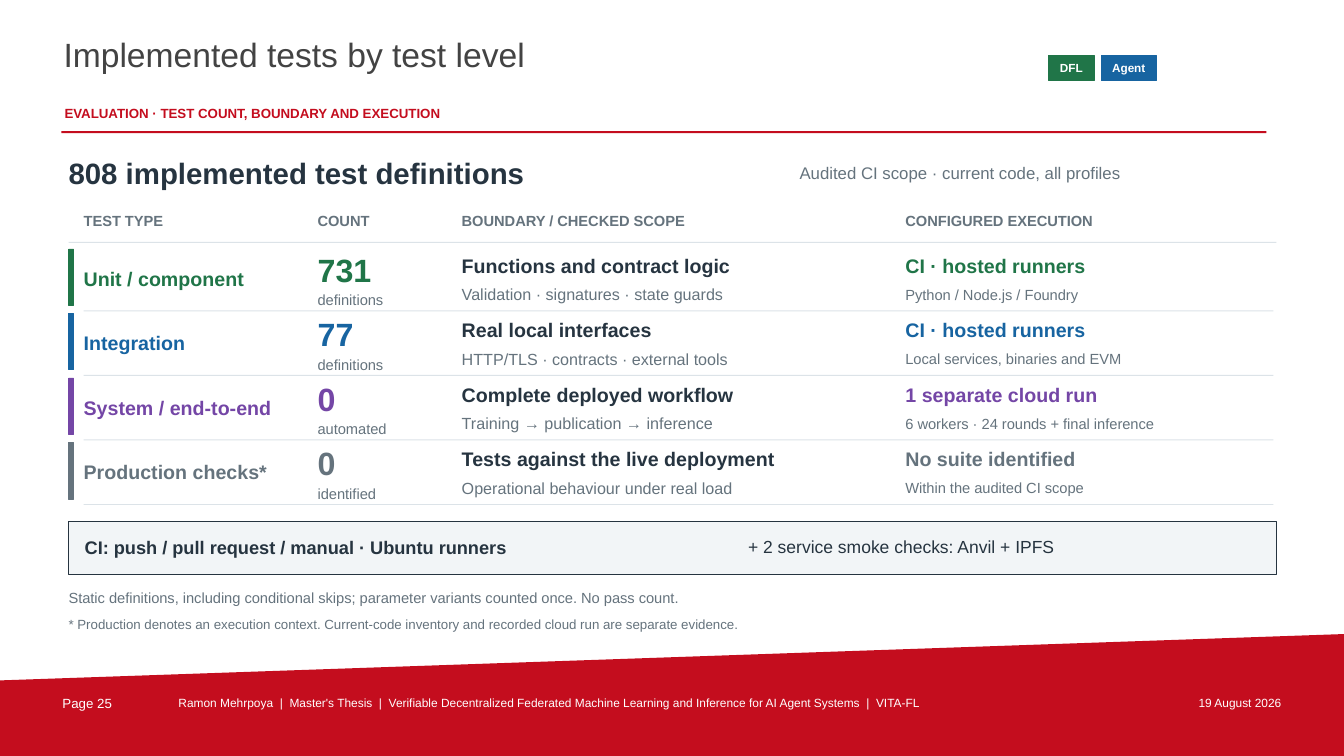
from dataclasses import dataclass

from pptx import Presentation
from pptx.dml.color import RGBColor
from pptx.enum.shapes import MSO_SHAPE as Preset
from pptx.enum.text import MSO_ANCHOR as Anchor, MSO_AUTO_SIZE as AutoSize, PP_ALIGN as Align
from pptx.shapes.autoshape import Shape
from pptx.slide import Slide
from pptx.text.text import TextFrame
from pptx.util import Emu, Pt

PX = 9144  # EMU per px, 100 px to the inch
WIDTH, HEIGHT = 1333, 750
FONT = "Arial"
COLORS = {
    "white": "FFFFFF",
    "red": "C40D1E",
    "title": "434343",
    "ink": "263440",
    "gray": "65737D",
    "green": "207548",
    "blue": "1764A1",
    "purple": "7446A6",
    "rule": "DCE3E8",
    "panel": "F2F5F7",
}


@dataclass(frozen=True)
class Label:
    text: str
    left: int
    top: int
    width: int
    height: int
    size: float
    color: str = "gray"
    bold: bool = False
    align: Align = Align.LEFT
    anchor: Anchor = Anchor.MIDDLE
    inset: int = 0


@dataclass(frozen=True)
class Badge:
    text: str
    left: int
    width: int
    color: str


@dataclass(frozen=True)
class TestLevel:
    name: str
    color: str
    count: str
    unit: str
    boundary: str
    scope: str
    execution: str
    details: str


@dataclass(frozen=True)
class Column:
    heading: str
    left: int
    width: int


TYPE = Column("TEST TYPE", 83, 227)
COUNT = Column("COUNT", 315, 122)
BOUNDARY = Column("BOUNDARY / CHECKED SCOPE", 458, 417)
EXECUTION = Column("CONFIGURED EXECUTION", 898, 352)
ROW_TOP, ROW_STEP = 247, 64

BADGES = [Badge("DFL", 1040, 45, "green"), Badge("Agent", 1092, 55, "blue")]

LEVELS = [
    TestLevel("Unit / component", "green", "731", "definitions",
              "Functions and contract logic", "Validation · signatures · state guards",
              "CI · hosted runners", "Python / Node.js / Foundry"),
    TestLevel("Integration", "blue", "77", "definitions",
              "Real local interfaces", "HTTP/TLS · contracts · external tools",
              "CI · hosted runners", "Local services, binaries and EVM"),
    TestLevel("System / end-to-end", "purple", "0", "automated",
              "Complete deployed workflow", "Training → publication → inference",
              "1 separate cloud run", "6 workers · 24 rounds + final inference"),
    TestLevel("Production checks*", "gray", "0", "identified",
              "Tests against the live deployment", "Operational behaviour under real load",
              "No suite identified", "Within the audited CI scope"),
]

FRAME_LABELS = [
    Label("Implemented tests by test level", 61, 32, 965, 62, 24, "title",
          anchor=Anchor.TOP, inset=2),
    Label("EVALUATION · TEST COUNT, BOUNDARY AND EXECUTION", 62, 102, 970, 22, 9.5, "red",
          bold=True, anchor=Anchor.TOP, inset=2),
    Label("Page 25", 60, 688, 100, 22, 9.5, "white", anchor=Anchor.TOP, inset=2),
    Label("Ramon Mehrpoya  |  Master's Thesis  |  Verifiable Decentralized Federated Machine "
          "Learning and Inference for AI Agent Systems  |  VITA-FL",
          175, 688, 935, 22, 8.5, "white", anchor=Anchor.TOP, inset=2),
    Label("19 August 2026", 1120, 688, 153, 22, 8.5, "white",
          align=Align.RIGHT, anchor=Anchor.TOP, inset=2),
]

SUMMARY_LABELS = [
    Label("808 implemented test definitions", 68, 151, 720, 40, 21, "ink", bold=True),
    Label("Audited CI scope · current code, all profiles", 793, 154, 472, 34, 12),
]

NOTE_LABELS = [
    Label("CI: push / pull request / manual · Ubuntu runners", 84, 521, 640, 43, 13, "ink",
          bold=True),
    Label("+ 2 service smoke checks: Anvil + IPFS", 742, 521, 504, 43, 12.5, "ink"),
    Label("Static definitions, including conditional skips; parameter variants counted once. "
          "No pass count.", 68, 581, 1198, 23, 10.5),
    Label("* Production denotes an execution context. Current-code inventory and recorded "
          "cloud run are separate evidence.", 68, 608, 1198, 23, 9.5),
]


def rgb(name: str) -> RGBColor:
    return RGBColor.from_string(COLORS[name])


def px(*lengths: int) -> list[Emu]:
    return [Emu(length * PX) for length in lengths]


def paint(shape: Shape, fill: str, line: str | None = None) -> None:
    shape.shadow.inherit = False
    shape.fill.solid()
    shape.fill.fore_color.rgb = rgb(fill)
    if line:
        shape.line.color.rgb = rgb(line)
        shape.line.width = Pt(0.5)
    else:
        shape.line.fill.background()


def add_box(slide: Slide, left: int, top: int, width: int, height: int,
            fill: str, line: str | None = None) -> Shape:
    shape = slide.shapes.add_shape(Preset.RECTANGLE, *px(left, top, width, height))
    paint(shape, fill, line)
    return shape


def write(frame: TextFrame, text: str, size: float, color: str, bold: bool,
          align: Align, anchor: Anchor, inset: int) -> None:
    frame.word_wrap = True
    frame.vertical_anchor = anchor
    frame.margin_left = frame.margin_top = frame.margin_right = frame.margin_bottom = Emu(inset * PX)
    frame.text = text
    paragraph = frame.paragraphs[0]
    paragraph.alignment = align
    paragraph.font.name = FONT
    paragraph.font.size = Pt(size)
    paragraph.font.bold = bold
    paragraph.font.color.rgb = rgb(color)


def add_label(slide: Slide, label: Label) -> None:
    frame = slide.shapes.add_textbox(
        *px(label.left, label.top, label.width, label.height)).text_frame
    write(frame, label.text, label.size, label.color, label.bold,
          label.align, label.anchor, label.inset)
    frame.auto_size = AutoSize.SHAPE_TO_FIT_TEXT


def add_badge(slide: Slide, badge: Badge) -> None:
    shape = add_box(slide, badge.left, 55, badge.width, 25, badge.color, badge.color)
    write(shape.text_frame, badge.text, 8.4, "white", True, Align.CENTER, Anchor.MIDDLE, 0)


def add_footer_band(slide: Slide) -> None:
    builder = slide.shapes.build_freeform(0, 675, scale=float(PX))
    builder.add_line_segments([(WIDTH, 629), (WIDTH, HEIGHT), (0, HEIGHT)], close=True)
    paint(builder.convert_to_shape(), "red")


def add_level(slide: Slide, level: TestLevel, top: int) -> None:
    add_box(slide, 68, top, 5, 56, level.color, level.color)
    for text, column, offset, height, size, color, bold in [
        (level.name, TYPE, 8, 42, 14, level.color, True),
        (level.count, COUNT, 0, 40, 23, level.color, True),
        (level.unit, COUNT, 40, 21, 10.5, "gray", False),
        (level.boundary, BOUNDARY, 3, 27, 14, "ink", True),
        (level.scope, BOUNDARY, 33, 24, 11.5, "gray", False),
        (level.execution, EXECUTION, 3, 27, 14, level.color, True),
        (level.details, EXECUTION, 33, 24, 10.5, "gray", False),
    ]:
        add_label(slide, Label(text, column.left, top + offset, column.width, height,
                               size, color, bold))
    add_box(slide, TYPE.left, top + 61, 1180, 1, "rule")


def main() -> None:
    presentation = Presentation()
    presentation.slide_width, presentation.slide_height = px(WIDTH, HEIGHT)
    slide = presentation.slides.add_slide(presentation.slide_layouts[6])

    # Title, footer and badges
    add_footer_band(slide)
    for label in FRAME_LABELS:
        add_label(slide, label)
    add_box(slide, 61, 130, 1195, 2, "red")
    for badge in BADGES:
        add_badge(slide, badge)

    # Summary line and column headings
    for label in SUMMARY_LABELS:
        add_label(slide, label)
    for column in (TYPE, COUNT, BOUNDARY, EXECUTION):
        add_label(slide, Label(column.heading, column.left, 205, column.width, 27, 10.5, bold=True))
    add_box(slide, 68, 240, 1198, 1, "rule")

    # One row per test level
    for index, level in enumerate(LEVELS):
        add_level(slide, level, ROW_TOP + index * ROW_STEP)

    # CI panel and notes
    add_box(slide, 68, 517, 1198, 53, "panel", "ink")
    for label in NOTE_LABELS:
        add_label(slide, label)

    presentation.save("out.pptx")


if __name__ == "__main__":
    main()
